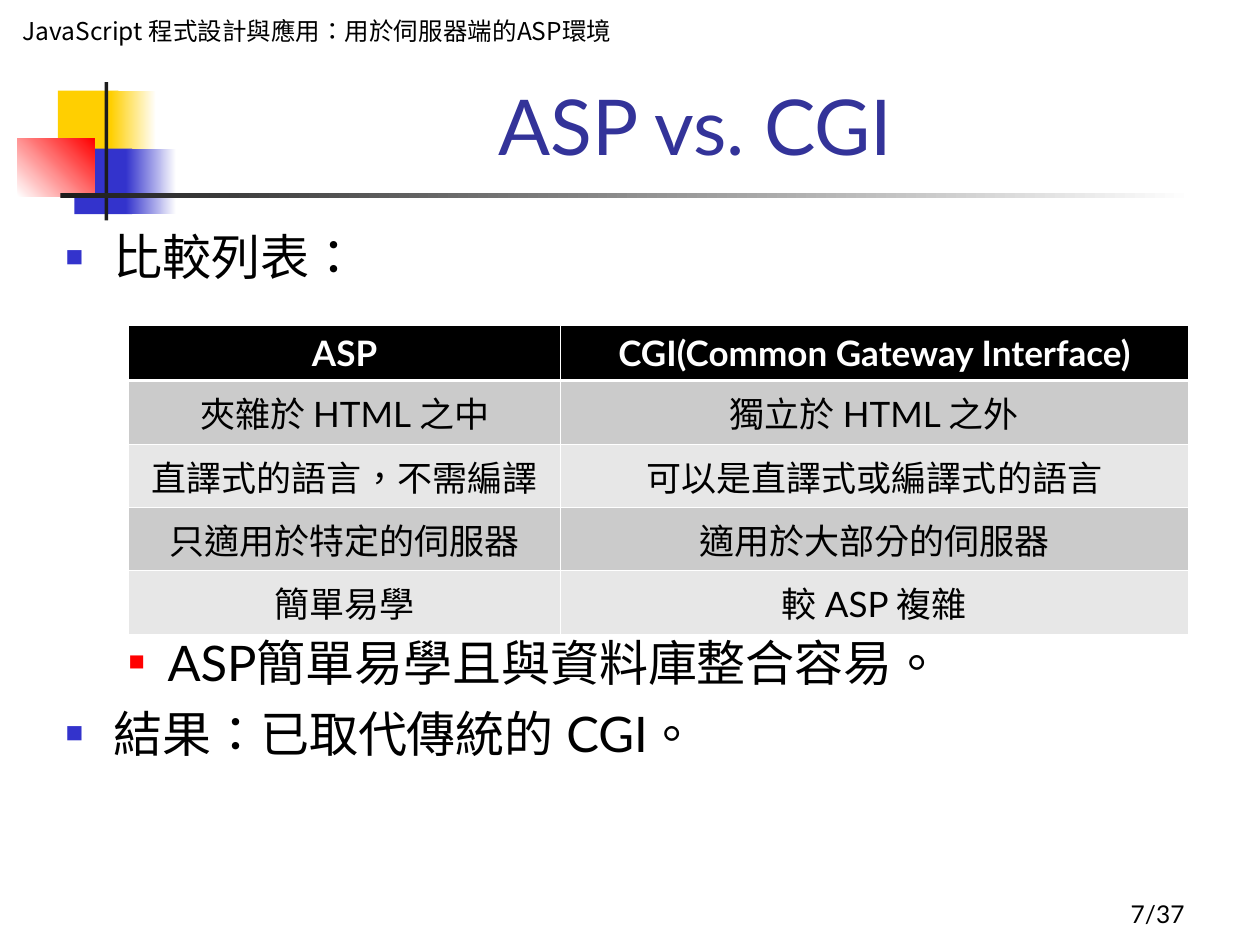
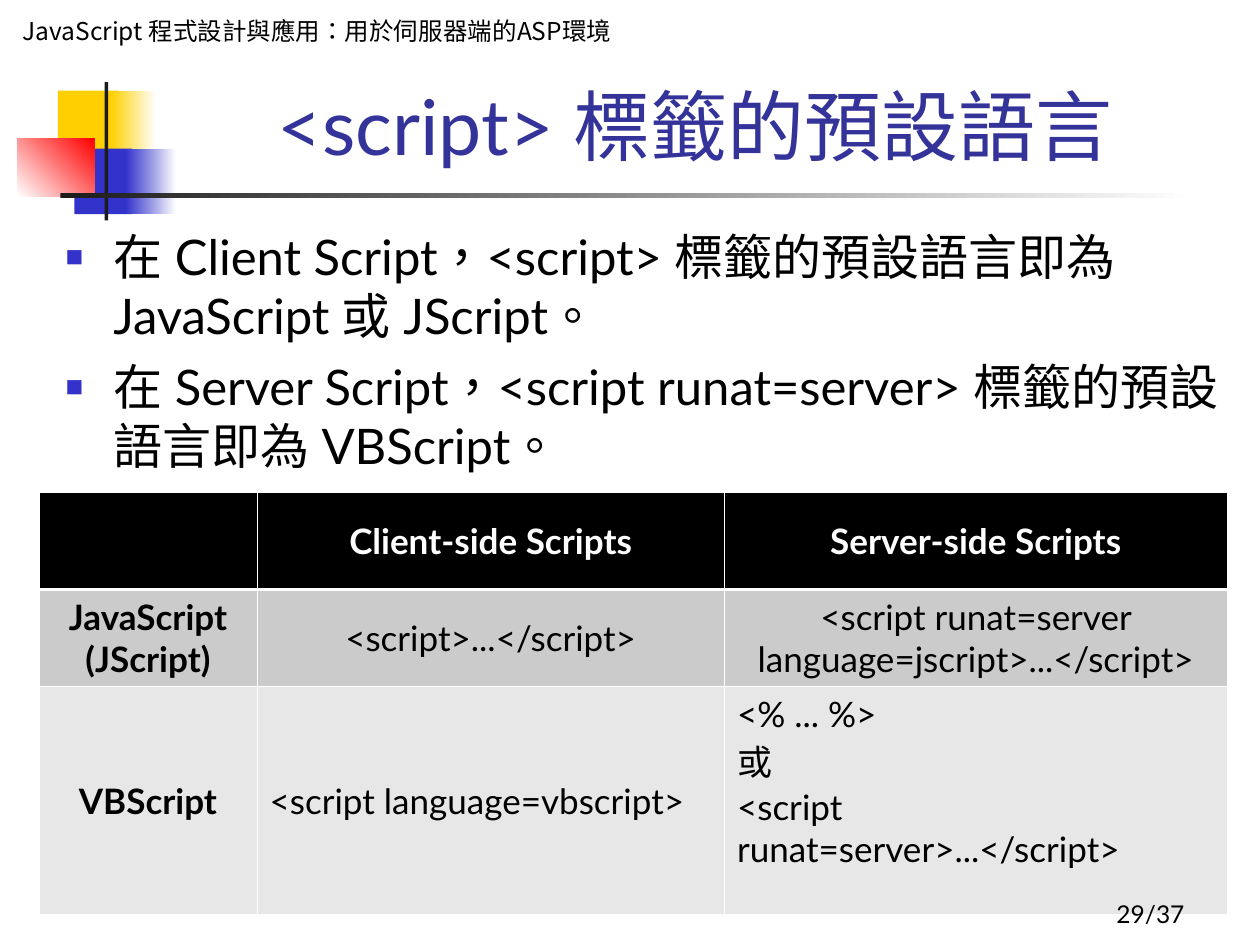
"""Build two lecture slides comparing ASP with CGI and script tag defaults."""
from lxml import etree
from pptx import Presentation
from pptx.dml.color import RGBColor
from pptx.enum.shapes import MSO_SHAPE
from pptx.enum.text import MSO_ANCHOR, MSO_AUTO_SIZE, PP_ALIGN
from pptx.oxml.ns import qn
from pptx.util import Inches, Pt

RECTANGLE = MSO_SHAPE.RECTANGLE
TOP, MIDDLE, BOTTOM = MSO_ANCHOR.TOP, MSO_ANCHOR.MIDDLE, MSO_ANCHOR.BOTTOM
LEFT, CENTER, RIGHT = PP_ALIGN.LEFT, PP_ALIGN.CENTER, PP_ALIGN.RIGHT
NO_AUTOFIT = MSO_AUTO_SIZE.NONE

WHITE = RGBColor(0xFF, 0xFF, 0xFF)
BLACK = RGBColor(0x00, 0x00, 0x00)
INK = RGBColor(0x1C, 0x1C, 0x1C)
YELLOW = RGBColor(0xFF, 0xCF, 0x01)
BLUE = RGBColor(0x33, 0x33, 0xCC)
RED = RGBColor(0xFF, 0x00, 0x00)
TITLE_BLUE = RGBColor(0x33, 0x33, 0x99)
DARK_BAND = RGBColor(0xCB, 0xCB, 0xCB)
LIGHT_BAND = RGBColor(0xE7, 0xE7, 0xE7)

FONT = "Lato"
CHINESE_FONT = "Noto Sans CJK SC"
THIN, THICK = 0.45, 1.47
PAGE_COUNT = 37
COURSE = "JavaScript 程式設計與應用：用於伺服器端的ASP環境"

ORNAMENTS = [
    ((0.46, 0.72, 0.48, 0.52), (YELLOW,), 0),
    ((0.88, 0.72, 0.36, 0.52), (YELLOW, WHITE), 0),
    ((0.59, 1.18, 0.46, 0.52), (BLUE,), 0),
    ((1, 1.18, 0.4, 0.52), (BLUE, WHITE), 0),
    ((0.14, 1.1, 0.61, 0.46), (WHITE, RED), 45),
    ((0.83, 0.6, 0.03, 1.15), (INK,), 0),
    ((0.48, 1.53, 9, 0.04), (INK, WHITE), 0),
]
HEADER_BOX = (0.08, 0.08, 4.92, 0.57)
TITLE_BOX = (1.26, 0.58, 8.52, 0.83)
BODY_BOX = (0.42, 1.75, 9.38, 5.08)
PAGE_BOX = (7.42, 6.92, 2.08, 0.5)

BULLETS = [
    {"margin": 0.38, "hanging": 0.38, "color": BLUE, "percent": 60},
    {"margin": 0.81, "hanging": 0.31, "color": RED, "percent": 55},
]

SLIDES = [
    {
        "page": 7,
        "title": "ASP vs. CGI",
        "points": [
            ("比較列表：", 0, 0),
            ("ASP簡單易學且與資料庫整合容易。", 1, 198),
            ("結果：已取代傳統的 CGI。", 0, 7),
        ],
        "table": {
            "at": (1.02, 2.58),
            "columns": [3.43, 4.98],
            "heights": [0.44] * 5,
            "rows": [
                ["ASP", "CGI(Common Gateway Interface)"],
                ["夾雜於 HTML 之中", "獨立於 HTML 之外"],
                ["直譯式的語言，不需編譯", "可以是直譯式或編譯式的語言"],
                ["只適用於特定的伺服器", "適用於大部分的伺服器"],
                ["簡單易學", "較 ASP 複雜"],
            ],
            "bold_first_column": False,
            "left_cells": {},
        },
    },
    {
        "page": 29,
        "title": "<script> 標籤的預設語言",
        "points": [
            ("在 Client Script，<script> 標籤的預設語言即為 JavaScript 或 JScript。", 0, 0),
            ("在 Server Script，<script runat=server> 標籤的預設語言即為 VBScript。", 0, 7),
        ],
        "table": {
            "at": (0.31, 3.91),
            "columns": [1.73, 3.71, 3.99],
            "heights": [0.77, 0.77, 1.81],
            "rows": [
                ["", "Client-side Scripts", "Server-side Scripts"],
                ["JavaScript\v(JScript)", "<script>...</script>",
                 "<script runat=server language=jscript>...</script>"],
                ["VBScript", "<script language=vbscript>",
                 "<% ... %>\n或\n<script runat=server>...</script>"],
            ],
            "bold_first_column": True,
            "left_cells": {(2, 1): MIDDLE, (2, 2): TOP},
        },
    },
]


def place(shape, box):
    """Move a shape to a box given in inches."""
    shape.left, shape.top, shape.width, shape.height = map(Inches, box)


def write(frame, text, size=14, color=BLACK, bold=False, align=LEFT,
          font=FONT, chinese_font=FONT):
    """Write one paragraph per line of text in a single format."""
    for index, line in enumerate(text.split("\n")):
        paragraph = frame.add_paragraph() if index else frame.paragraphs[0]
        paragraph.text = line
        paragraph.alignment = align
        paragraph.space_before = Pt(0)
        for run in paragraph.runs:
            run.font.size = Pt(size)
            run.font.bold = bold
            run.font.color.rgb = color
            run.font.name = font
            properties = run._r.get_or_add_rPr()
            properties.set("lang", "zh-TW")
            etree.SubElement(properties, qn("a:ea"), typeface=chinese_font)


def set_frame(frame, anchor):
    """Wrap the text and fix its vertical anchor."""
    frame.word_wrap = True
    frame.auto_size = NO_AUTOFIT
    frame.vertical_anchor = anchor


def add_rectangle(slide, box, colors, angle=0):
    """Add a borderless rectangle with a solid or two-colour fill."""
    shape = slide.shapes.add_shape(RECTANGLE, *map(Inches, box))
    shape.shadow.inherit = False
    shape.line.fill.background()
    if len(colors) == 1:
        shape.fill.solid()
        shape.fill.fore_color.rgb = colors[0]
    else:
        shape.fill.gradient()
        shape.fill.gradient_angle = angle
        for stop, color in zip(shape.fill.gradient_stops, colors):
            stop.color.rgb = color
    return shape


def decorate_layout(layout, slide):
    """Put the ornaments and course header on the shared layout."""
    shapes = [add_rectangle(slide, *ornament) for ornament in ORNAMENTS]
    header = add_rectangle(slide, HEADER_BOX, (WHITE,))
    set_frame(header.text_frame, TOP)
    write(header.text_frame, COURSE, font=CHINESE_FONT)
    for number, shape in enumerate(shapes + [header], start=20):
        shape.element.nvSpPr.cNvPr.set("id", str(number))
        layout.shapes.element.append(shape.element)


def add_bullet(paragraph, margin, hanging, color, percent):
    """Give a paragraph a coloured square bullet."""
    properties = paragraph._p.get_or_add_pPr()
    properties.set("marL", str(Inches(margin)))
    properties.set("indent", str(-Inches(hanging)))
    bullet_color = etree.SubElement(properties, qn("a:buClr"))
    etree.SubElement(bullet_color, qn("a:srgbClr"), val=str(color))
    etree.SubElement(properties, qn("a:buSzPct"), val=str(percent * 1000))
    etree.SubElement(properties, qn("a:buChar"), char="■")


def fill_body(body, points):
    """Write the bulleted points into the body placeholder."""
    place(body, BODY_BOX)
    set_frame(body.text_frame, TOP)
    write(body.text_frame, "\n".join(point[0] for point in points), size=28)
    for paragraph, (_, level, space) in zip(body.text_frame.paragraphs, points):
        paragraph.level = level
        paragraph.space_before = Pt(space)
        add_bullet(paragraph, **BULLETS[level])


def add_borders(cell, row_index):
    """Draw white borders, thicker under the heading row."""
    widths = {"L": THIN, "R": THIN,
              "T": THICK if row_index == 1 else THIN,
              "B": THICK if row_index == 0 else THIN}
    properties = cell._tc.get_or_add_tcPr()
    for side, width in widths.items():
        line = etree.SubElement(properties, qn(f"a:ln{side}"), w=str(Pt(width)))
        fill = etree.SubElement(line, qn("a:solidFill"))
        etree.SubElement(fill, qn("a:srgbClr"), val=str(WHITE))


def add_comparison(slide, at, columns, heights, rows, bold_first_column, left_cells):
    """Add a comparison table with a black heading and grey bands."""
    size = (sum(columns), sum(heights))
    table = slide.shapes.add_table(
        len(rows), len(columns), *map(Inches, at + size)).table
    for column, width in zip(table.columns, columns):
        column.width = Inches(width)
    for row, height in zip(table.rows, heights):
        row.height = Inches(height)
    for row_index, texts in enumerate(rows):
        heading = row_index == 0
        band = DARK_BAND if row_index % 2 else LIGHT_BAND
        for column_index, text in enumerate(texts):
            cell = table.cell(row_index, column_index)
            position = (row_index, column_index)
            add_borders(cell, row_index)
            cell.fill.solid()
            cell.fill.fore_color.rgb = BLACK if heading else band
            cell.vertical_anchor = left_cells.get(position, MIDDLE)
            write(cell.text_frame, text, size=20,
                  color=WHITE if heading else BLACK,
                  bold=heading or (bold_first_column and column_index == 0),
                  align=LEFT if position in left_cells else CENTER,
                  chinese_font=CHINESE_FONT)


def add_slide(presentation, layout, content):
    """Add one slide with its title, points, table and page number."""
    slide = presentation.slides.add_slide(layout)
    title = slide.shapes.title
    place(title, TITLE_BOX)
    set_frame(title.text_frame, BOTTOM)
    write(title.text_frame, content["title"], size=44, color=TITLE_BLUE, align=CENTER)
    fill_body(slide.placeholders[1], content["points"])
    add_comparison(slide, **content["table"])
    page = slide.shapes.add_textbox(*map(Inches, PAGE_BOX))
    set_frame(page.text_frame, BOTTOM)
    write(page.text_frame, f"{content['page']}/{PAGE_COUNT}", align=RIGHT)
    return slide


def main():
    """Build and save the presentation."""
    presentation = Presentation()
    presentation.slide_width, presentation.slide_height = Inches(10), Inches(7.5)
    layout = presentation.slide_layouts[1]
    slides = [add_slide(presentation, layout, content) for content in SLIDES]
    decorate_layout(layout, slides[0])
    presentation.save("out.pptx")


if __name__ == "__main__":
    main()
